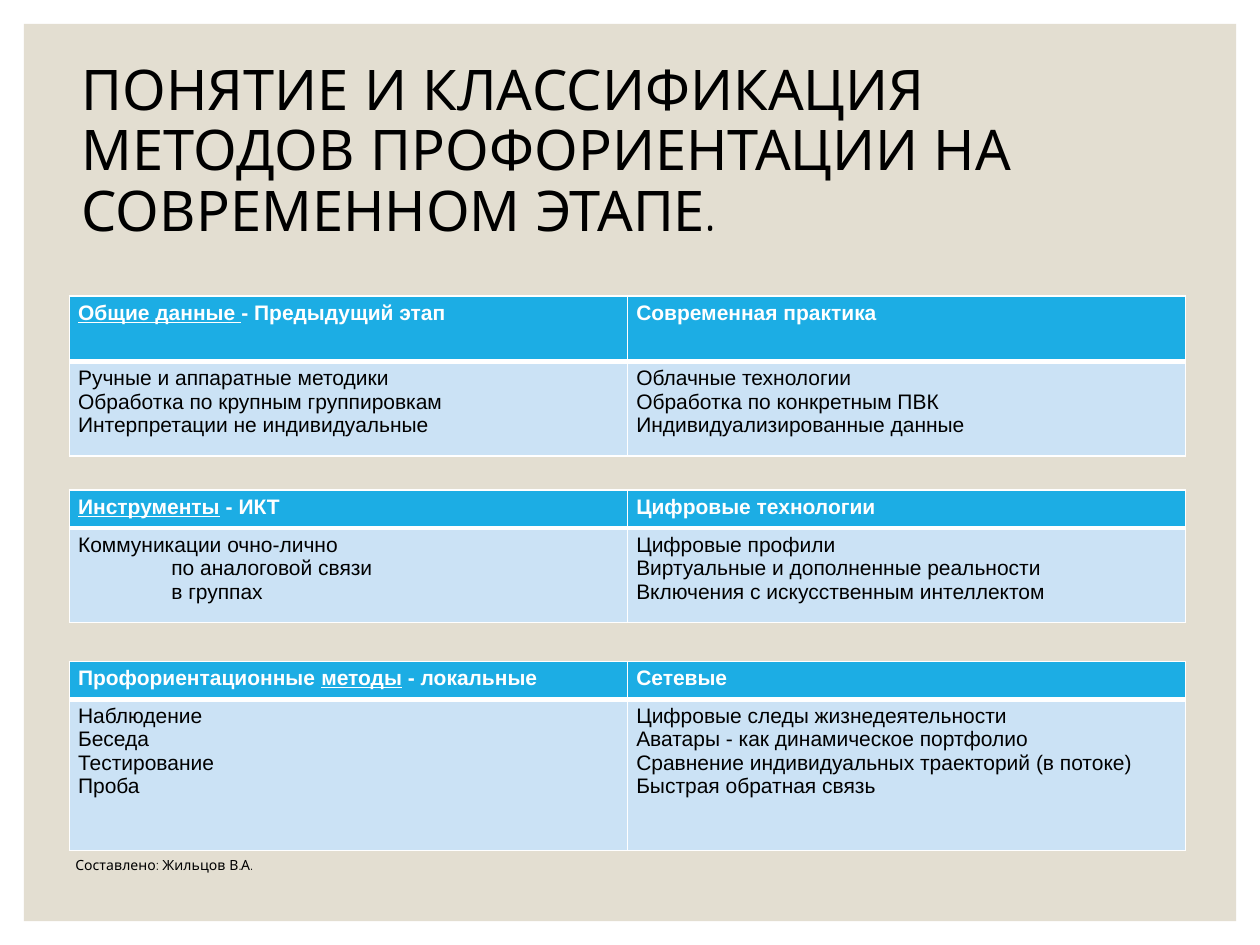
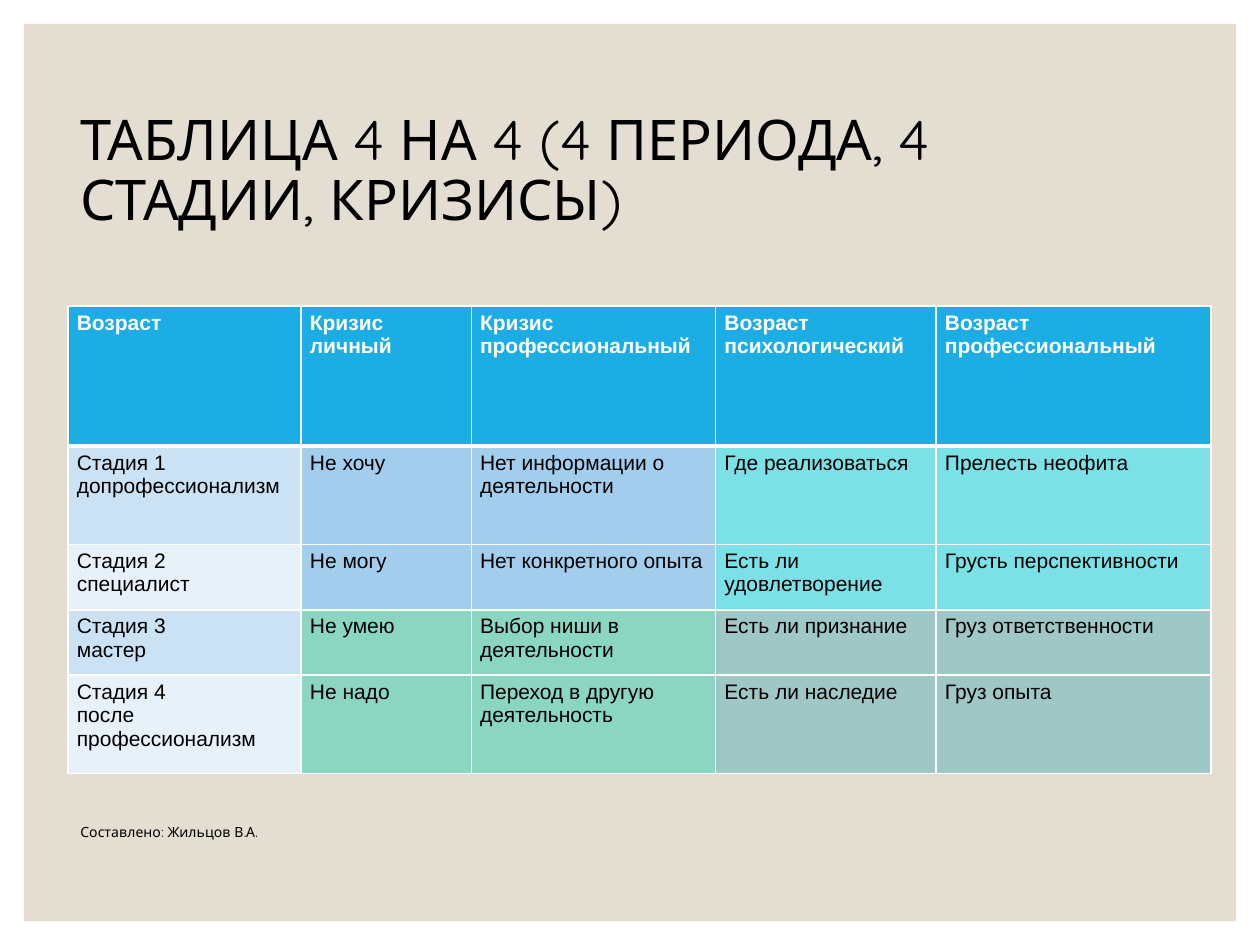
from dataclasses import dataclass

from lxml import etree
from pptx import Presentation
from pptx.dml.color import RGBColor
from pptx.enum.shapes import MSO_SHAPE as Shape
from pptx.enum.text import MSO_ANCHOR as Anchor
from pptx.oxml.ns import qn
from pptx.util import Inches, Pt


@dataclass(frozen=True)
class Theme:
    panel: str = "E3DED1"
    header: str = "1CADE4"
    white: str = "FFFFFF"
    ink: str = "000000"
    pale: str = "CBE2F5"
    paler: str = "E7F1FA"
    blue: str = "A2CDED"
    cyan: str = "7CE1E7"
    green: str = "8BD6C0"
    grey: str = "9FC7C5"
    display_font: str = "Quicksand"
    table_font: str = "Arial"
    title_size: int = 32
    table_size: int = 12
    credit_size: int = 8
    thin: int = 1
    thick: int = 3


class SlideBuilder:
    """Holds the style and the slide being filled."""

    def __init__(self, deck, theme):
        self.deck = deck
        self.theme = theme
        self.page = None

    def new_page(self):
        self.page = self.deck.slides.add_slide(self.deck.slide_layouts[6])
        panel = self.page.shapes.add_shape(
            Shape.RECTANGLE, Inches(0.19), Inches(0.19), Inches(9.62), Inches(7.12))
        panel.shadow.inherit = False
        panel.fill.solid()
        panel.fill.fore_color.rgb = RGBColor.from_string(self.theme.panel)
        panel.line.fill.background()

    def style(self, para, font, size, color, bold=False):
        para.font.name = font
        para.font.size = Pt(size)
        para.font.bold = bold
        para.font.color.rgb = RGBColor.from_string(color)

    def text(self, words, size, left, top, width, height):
        box = self.page.shapes.add_textbox(
            Inches(left), Inches(top), Inches(width), Inches(height))
        frame = box.text_frame
        frame.word_wrap = True
        para = frame.paragraphs[0]
        para.text = words
        self.style(para, self.theme.display_font, size, self.theme.ink)
        return frame

    def title(self, words, left, top):
        frame = self.text(words, self.theme.title_size, left, top, 8.4, 1.5)
        frame.vertical_anchor = Anchor.MIDDLE
        frame.margin_bottom = Inches(0.53)  # lifts the centred lines
        frame.paragraphs[0].line_spacing = 0.9

    def credit(self, left, top, width):
        self.text("Составлено: Жильцов В.А.", self.theme.credit_size,
                  left, top, width, 0.24)

    def borders(self, cell, row):
        """Thin white lines, with a thick one under the header row."""
        theme = self.theme
        widths = {
            "a:lnL": theme.thin,
            "a:lnR": theme.thin,
            "a:lnT": theme.thick if row == 1 else theme.thin,
            "a:lnB": theme.thick if row == 0 else theme.thin,
        }
        properties = cell._tc.get_or_add_tcPr()
        for position, (tag, width) in enumerate(widths.items()):
            line = etree.Element(qn(tag), w=str(Pt(width)))
            fill = etree.SubElement(line, qn("a:solidFill"))
            etree.SubElement(fill, qn("a:srgbClr"), val=theme.white)
            properties.insert(position, line)

    def cell(self, cell, words, row, fill):
        """Newlines part paragraphs, a tab indents, underscores underline."""
        theme = self.theme
        cell.margin_left = cell.margin_right = Inches(0.07)
        cell.margin_top = cell.margin_bottom = Inches(0.04)
        cell.fill.solid()
        cell.fill.fore_color.rgb = RGBColor.from_string(fill)
        self.borders(cell, row)
        frame = cell.text_frame
        for number, line in enumerate(words.split("\n")):
            para = frame.add_paragraph() if number else frame.paragraphs[0]
            if line.startswith("\t"):
                para._p.get_or_add_pPr().set("marL", str(Inches(0.74)))
            for part, piece in enumerate(line.strip("\t").split("_")):
                if piece:
                    span = para.add_run()
                    span.text = piece
                    if part % 2:
                        span.font.underline = True
            self.style(para, theme.table_font, theme.table_size,
                       theme.ink if row else theme.white, bold=row == 0)

    def table(self, left, top, widths, heights, rows, fill_of):
        """fill_of(row, column) gives the colour of a body cell."""
        frame = self.page.shapes.add_table(
            len(heights), len(widths), Inches(left), Inches(top),
            Inches(sum(widths)), Inches(sum(heights)))
        table = frame.table
        table.horz_banding = False
        for column, width in zip(table.columns, widths):
            column.width = Inches(width)
        for r, (height, row) in enumerate(zip(heights, rows)):
            table.rows[r].height = Inches(height)
            for c, words in enumerate(row):
                fill = fill_of(r, c) if r else self.theme.header
                self.cell(table.cell(r, c), words, r, fill)


# Then-and-now tables: top, row heights, rows
COMPARISONS = [
    (2.35, [0.52, 0.75], [
        ["_Общие данные _- Предыдущий этап", "Современная практика"],
        ["Ручные и аппаратные методики\nОбработка по крупным группировкам\n"
         "Интерпретации не индивидуальные",
         "Облачные технологии\nОбработка по конкретным ПВК\n"
         "Индивидуализированные данные"]]),
    (3.89, [0.3, 0.75], [
        ["_Инструменты_ - ИКТ", "Цифровые технологии"],
        ["Коммуникации очно-лично\n\tпо аналоговой связи\n\tв группах",
         "Цифровые профили\nВиртуальные и дополненные реальности\n"
         "Включения с искусственным интеллектом"]]),
    (5.25, [0.3, 1.2], [
        ["Профориентационные _методы_ - локальные", "Сетевые"],
        ["Наблюдение\nБеседа\nТестирование\nПроба",
         "Цифровые следы жизнедеятельности\n"
         "Аватары - как динамическое портфолио\n"
         "Сравнение индивидуальных траекторий (в потоке)\n"
         "Быстрая обратная связь"]]),
]

CRISES = [
    ["Возраст", "Кризис личный", "Кризис профессиональный",
     "Возраст психологический", "Возраст профессиональный"],
    ["Стадия 1\nдопрофессионализм", "Не хочу", "Нет информации о деятельности",
     "Где реализоваться", "Прелесть неофита"],
    ["Стадия 2\nспециалист", "Не могу", "Нет конкретного опыта",
     "Есть ли удовлетворение", "Грусть перспективности"],
    ["Стадия 3\nмастер", "Не умею", "Выбор ниши в деятельности",
     "Есть ли признание", "Груз ответственности"],
    ["Стадия 4\nпосле профессионализм", "Не надо",
     "Переход в другую деятельность", "Есть ли наследие", "Груз опыта"],
]


def methods_slide(builder):
    builder.new_page()
    builder.title("ПОНЯТИЕ И КЛАССИФИКАЦИЯ МЕТОДОВ ПРОФОРИЕНТАЦИИ "
                  "НА СОВРЕМЕННОМ ЭТАПЕ.", 0.55, 0.7)
    for top, heights, rows in COMPARISONS:
        builder.table(0.55, top, [4.43, 4.43], heights, rows,
                      lambda row, column: builder.theme.pale)
    builder.credit(0.5, 6.75, 2.5)


def crises_slide(builder):
    theme = builder.theme
    quadrants = [[theme.blue, theme.cyan], [theme.green, theme.grey]]

    def fill_of(row, column):
        if column == 0:
            return theme.pale if row % 2 else theme.paler
        return quadrants[(row - 1) // 2][(column - 1) // 2]

    builder.new_page()
    builder.title("ТАБЛИЦА 4 НА 4 (4 ПЕРИОДА, 4 СТАДИИ, КРИЗИСЫ)", 0.54, 0.86)
    builder.table(0.54, 2.43, [1.85, 1.35, 1.94, 1.75, 2.18],
                  [1.11, 0.78, 0.52, 0.52, 0.78], CRISES, fill_of)
    builder.credit(0.54, 6.49, 2)


def main():
    deck = Presentation()
    deck.slide_width, deck.slide_height = Inches(10), Inches(7.5)
    builder = SlideBuilder(deck, Theme())
    methods_slide(builder)
    crises_slide(builder)
    deck.save("out.pptx")


if __name__ == "__main__":
    main()
